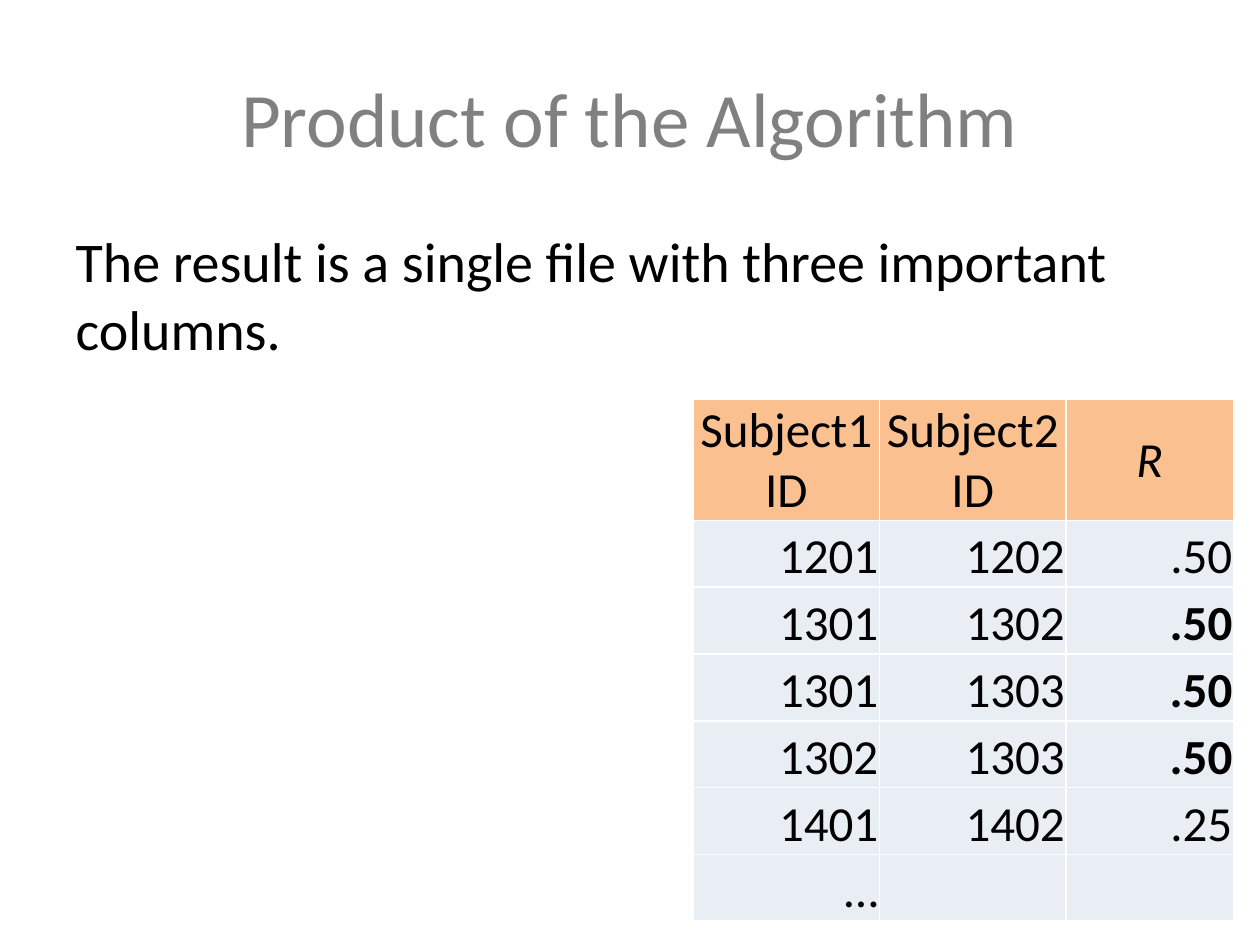
from lxml.etree import SubElement
from pptx import Presentation
from pptx.dml.color import RGBColor
from pptx.enum.text import MSO_ANCHOR, PP_ALIGN
from pptx.oxml.ns import qn
from pptx.util import Inches, Pt


def style(p, size, color, bold=False, italic=False):
    for r in p.runs:
        r.font.name = "Calibri"
        r.font.size = Pt(size)
        r.font.color.rgb = RGBColor.from_string(color)
        r.font.bold = bold
        r.font.italic = italic


def set_borders(cell, color, width):
    tcPr = cell._tc.get_or_add_tcPr()
    for side in ("a:lnL", "a:lnR", "a:lnT", "a:lnB"):
        ln = SubElement(tcPr, qn(side), w=str(Pt(width)))
        SubElement(SubElement(ln, qn("a:solidFill")), qn("a:srgbClr"), val=color)


prs = Presentation()
prs.slide_width, prs.slide_height = Inches(10), Inches(7.5)
s = prs.slides.add_slide(prs.slide_layouts[1])

# Title and body
title, body = s.placeholders
title.left, title.top = Inches(0.5), Inches(0.3)
title.width, title.height = Inches(9), Inches(1.25)
title.text_frame.text = "Product of the Algorithm"
style(title.text_frame.paragraphs[0], 44, "808080")

body.left, body.top = Inches(0.5), Inches(1.75)
body.width, body.height = Inches(9), Inches(4.95)
body.text_frame.text = "The result is a single file with three important columns."
p = body.text_frame.paragraphs[0]
style(p, 32, "000000")
pPr = p._p.get_or_add_pPr()
pPr.set("marL", "0")
pPr.set("indent", "0")
SubElement(pPr, qn("a:buNone"))

# Table of subject pairs
rows = [
    ("Subject1\vID", "Subject2\vID", "R"),
    ("1201", "1202", ".50"),
    ("1301", "1302", ".50"),
    ("1301", "1303", ".50"),
    ("1302", "1303", ".50"),
    ("1401", "1402", ".25"),
    ("…", "", ""),
]
bold_rows = (2, 3, 4)
tbl = s.shapes.add_table(len(rows), 3, Inches(5.5), Inches(3.17),
                         Inches(4.29), Inches(4.11)).table
for col, width in zip(tbl.columns, (1.48, 1.48, 1.33)):
    col.width = Inches(width)

for i, row in enumerate(rows):
    header = i == 0
    tbl.rows[i].height = Inches(0.95 if header else 0.53)
    for j, text in enumerate(row):
        cell = tbl.cell(i, j)
        set_borders(cell, "FFFFFF", 1)
        cell.fill.solid()
        cell.fill.fore_color.rgb = RGBColor.from_string("FAC090" if header else "E9EDF4")
        cell.margin_left = cell.margin_right = cell.margin_top = Inches(0.01)
        cell.margin_bottom = 0
        cell.vertical_anchor = MSO_ANCHOR.MIDDLE if header else MSO_ANCHOR.BOTTOM
        p = cell.text_frame.paragraphs[0]
        p.text = text
        p.alignment = PP_ALIGN.CENTER if header else PP_ALIGN.RIGHT
        style(p, 28, "000000", bold=j == 2 and i in bold_rows, italic=text == "R")

prs.save("out.pptx")
